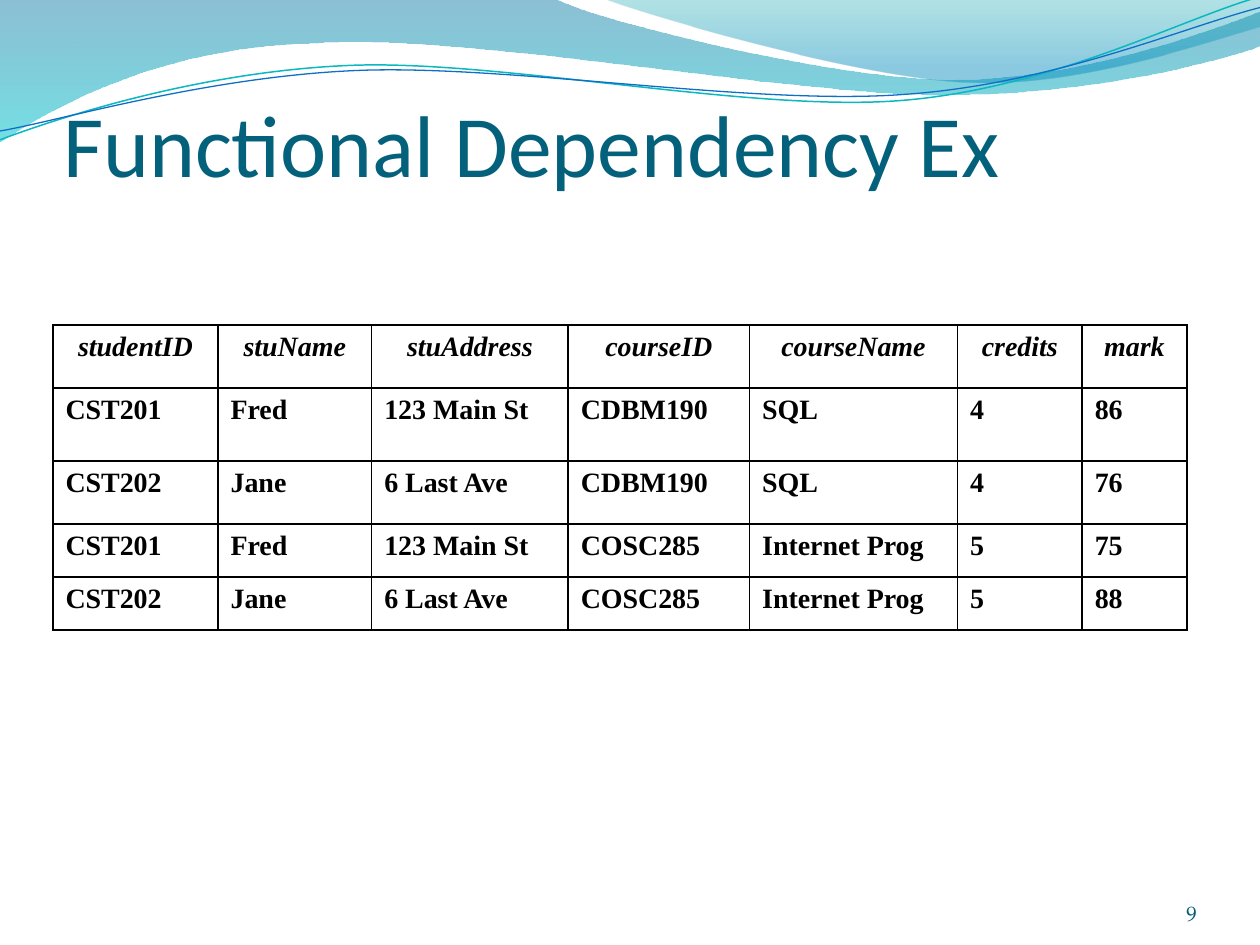
"""Build the functional dependency example slide."""
from dataclasses import dataclass

from pptx import Presentation
from pptx.dml.color import RGBColor as Rgb
from pptx.enum.text import MSO_ANCHOR as Anchor, MSO_AUTO_SIZE as AutoSize, PP_ALIGN as Align
from pptx.oxml import parse_xml
from pptx.oxml.ns import nsdecls
from pptx.oxml.xmlchemy import OxmlElement
from pptx.util import Inches, Pt


@dataclass(frozen=True)
class Theme:
    """Colours, fonts and type sizes of the slide."""
    title: str = "04617B"
    number: str = "045D75"
    ink: str = "000000"
    teal_line: str = "0AB8BF"
    blue_line: str = "0F6FC6"
    wide_wave: tuple = ((0, "0074A1", 45), (1, "00C6CF", 55))
    right_wave: tuple = ((0, "00A1A9", 30), (0.8, "008BBF", 45))
    title_font: str = "Calibri"
    table_font: str = "Times New Roman"
    number_font: str = "TeX Gyre Pagella"
    title_size: int = 50
    table_size: int = 16
    number_size: int = 12


THEME = Theme()

WIDE_WAVE = [
    (0, 0), (4.4, -0.01),
    (4.76, 0.17, 6.64, 0.63, 7.58, 0.63), (8.53, 0.63, 9.58, 0.26, 10, 0.09),
    (10.01, 0.36),
    (9.83, 0.44, 8.7, 0.76, 7.46, 0.75), (6.22, 0.75, 3.82, 0.28, 2.57, 0.34),
    (1.29, 0.36, 0.46, 0.83, -0.01, 1.13), (0, 0),
]
RIGHT_WAVE = [
    (4.79, -0.01),
    (5.09, 0.11, 6.82, 0.62, 7.69, 0.65), (8.56, 0.69, 9.61, 0.32, 10, 0.21),
    (10, 0), (4.79, -0.01),
]
TEAL_CURVE = [
    (0, 1.11),
    (0.48, 0.93, 1.58, 0.57, 2.77, 0.52), (3.95, 0.47, 5.93, 0.89, 7.13, 0.8),
    (8.33, 0.71, 9.38, 0.15, 9.98, -0.02),
]
BLUE_CURVE = [
    (0, 1.04),
    (0.47, 0.96, 1.64, 0.61, 2.83, 0.56), (4.03, 0.51, 5.97, 0.84, 7.17, 0.75),
    (8.36, 0.67, 9.41, 0.21, 10, 0.06),
]

COLUMN_WIDTHS = [1.31, 1.22, 1.56, 1.44, 1.65, 0.99, 0.83]
ROW_HEIGHTS = [0.5, 0.58, 0.5, 0.42, 0.42]
ROWS = [
    ("studentID", "stuName", "stuAddress", "courseID", "courseName", "credits", "mark"),
    ("CST201", "Fred", "123 Main St", "CDBM190", "SQL", "4", "86"),
    ("CST202", "Jane", "6 Last Ave", "CDBM190", "SQL", "4", "76"),
    ("CST201", "Fred", "123 Main St", "COSC285", "Internet Prog", "5", "75"),
    ("CST202", "Jane", "6 Last Ave", "COSC285", "Internet Prog", "5", "88"),
]


def add_run(paragraph, text, font, size, color, bold=False, italic=False):
    """Append one formatted run to a paragraph."""
    run = paragraph.add_run()
    run.text = text
    run.font.name, run.font.size = font, Pt(size)
    run.font.bold, run.font.italic = bold, italic
    run.font.color.rgb = Rgb.from_string(color)


def set_frame(frame, top=0):
    """Anchor text at the bottom and clear the margins except the top one."""
    frame.word_wrap = True
    frame.auto_size = AutoSize.NONE
    frame.vertical_anchor = Anchor.BOTTOM
    frame.margin_left = frame.margin_right = frame.margin_bottom = 0
    frame.margin_top = Inches(top)


def bend_segment(shape, line, segment):
    """Turn a straight segment of a shape into a cubic curve."""
    curve = OxmlElement("a:cubicBezTo")
    for x, y in zip(segment[::2], segment[1::2]):
        point = OxmlElement("a:pt")
        point.set("x", str(Inches(x) - shape.left))
        point.set("y", str(Inches(y) - shape.top))
        curve.append(point)
    line.getparent().replace(line, curve)


def add_outline(slide, segments, close):
    """Draw an outline of straight and cubic segments given in inches."""
    anchors = [tuple(map(Inches, segment[-2:])) for segment in segments]
    builder = slide.shapes.build_freeform(*anchors[0])
    builder.add_line_segments(anchors[1:], close=close)
    shape = builder.convert_to_shape()
    shape.shadow.inherit = False
    lines = list(shape.element.spPr.iter("{*}lnTo"))
    for line, segment in zip(lines, segments[1:]):
        if len(segment) == 6:
            bend_segment(shape, line, segment)
    return shape


def add_wave(slide, segments, stops):
    """Add a filled wave with a translucent vertical gradient."""
    shape = add_outline(slide, segments, close=True)
    shape.line.fill.background()
    shape.fill.gradient()
    shape.fill.gradient_angle = 270
    for stop, (position, color, _) in zip(shape.fill.gradient_stops, stops):
        stop.position = position
        stop.color.rgb = Rgb.from_string(color)
    for node, (_, _, opacity) in zip(shape.element.spPr.iter("{*}srgbClr"), stops):
        alpha = OxmlElement("a:alpha")
        alpha.set("val", str(opacity * 1000))
        node.append(alpha)


def add_curve(slide, segments, color, width):
    """Add an open curved line."""
    shape = add_outline(slide, segments, close=False)
    shape.fill.background()
    shape.line.color.rgb = Rgb.from_string(color)
    shape.line.width = Pt(width)


def add_title(slide, text):
    """Place the title placeholder in front of the waves."""
    title = slide.shapes.title
    title.left, title.top, title.width, title.height = map(Inches, (0.5, 0.3, 9, 1.25))
    set_frame(title.text_frame, top=0.05)
    paragraph = title.text_frame.paragraphs[0]
    paragraph.alignment = Align.LEFT
    add_run(paragraph, text, THEME.title_font, THEME.title_size, THEME.title)
    slide.shapes.element.append(title.element)


def set_borders(cell):
    """Give a cell thin solid borders on all sides."""
    properties = cell._tc.get_or_add_tcPr()
    for index, side in enumerate("LRTB"):
        properties.insert(index, parse_xml(
            f'<a:ln{side} {nsdecls("a")} w="{Pt(1)}"><a:solidFill>'
            f'<a:srgbClr val="{THEME.ink}"/></a:solidFill></a:ln{side}>'))


def fill_cell(cell, text, header):
    """Write one table cell with a hanging indent."""
    cell.fill.background()
    set_borders(cell)
    paragraph = cell.text_frame.paragraphs[0]
    paragraph.alignment = Align.CENTER if header else Align.LEFT
    properties = paragraph._p.get_or_add_pPr()
    properties.set("marL", str(Inches(0.38)))
    properties.set("indent", str(-Inches(0.38)))
    add_run(paragraph, text, THEME.table_font, THEME.table_size, THEME.ink, True, header)


def add_student_table(slide):
    """Add the table of students, courses and marks."""
    size = Inches(sum(COLUMN_WIDTHS)), Inches(sum(ROW_HEIGHTS))
    table = slide.shapes.add_table(
        len(ROWS), len(COLUMN_WIDTHS), Inches(0.42), Inches(2.58), *size).table
    table.first_row = table.horz_banding = False
    for column, width in zip(table.columns, COLUMN_WIDTHS):
        column.width = Inches(width)
    for index, (row, height, texts) in enumerate(zip(table.rows, ROW_HEIGHTS, ROWS)):
        row.height = Inches(height)
        for cell, text in zip(row.cells, texts):
            fill_cell(cell, text, header=index == 0)


def add_slide_number(slide, text):
    """Add the page number at the lower right."""
    box = slide.shapes.add_textbox(*map(Inches, (7.17, 6.83, 2.33, 0.52)))
    set_frame(box.text_frame)
    paragraph = box.text_frame.paragraphs[0]
    paragraph.alignment = Align.RIGHT
    add_run(paragraph, text, THEME.number_font, THEME.number_size, THEME.number)


def main():
    """Build and save the presentation."""
    presentation = Presentation()
    presentation.slide_width, presentation.slide_height = Inches(10), Inches(7.5)
    slide = presentation.slides.add_slide(presentation.slide_layouts[5])
    add_wave(slide, WIDE_WAVE, THEME.wide_wave)
    add_wave(slide, RIGHT_WAVE, THEME.right_wave)
    add_curve(slide, TEAL_CURVE, THEME.teal_line, 0.85)
    add_curve(slide, BLUE_CURVE, THEME.blue_line, 0.75)
    add_title(slide, "Functional Dependency Ex")
    add_student_table(slide)
    add_slide_number(slide, "9")
    presentation.save("out.pptx")


if __name__ == "__main__":
    main()
